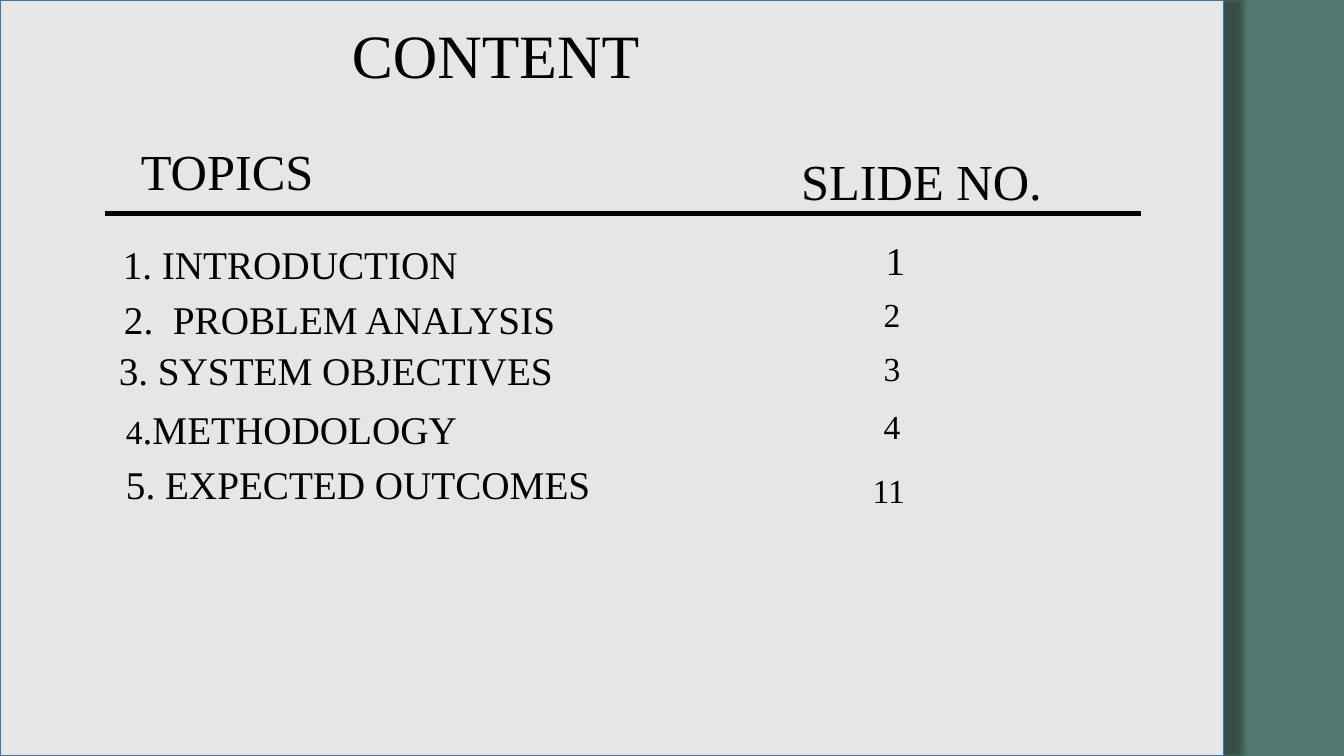
import dataclasses

import lxml.etree
import pptx
import pptx.dml.color
import pptx.enum.shapes
import pptx.enum.text
import pptx.oxml.ns
import pptx.util

Cm = pptx.util.Cm
Pt = pptx.util.Pt
qn = pptx.oxml.ns.qn


@dataclasses.dataclass(frozen=True)
class Theme:
    background: str = "52796F"
    panel: str = "E7E6E6"
    panel_line: str = "43739E"
    ink: str = "000000"
    font: str = "Times New Roman"
    title: int = 44
    heading: int = 36
    topic: int = 28
    number: int = 24


def color(value):
    return pptx.dml.color.RGBColor.from_string(value)


class ContentSlide:
    def __init__(self, presentation, theme):
        self.theme = theme
        self.slide = presentation.slides.add_slide(presentation.slide_layouts[1])
        fill = self.slide.background.fill
        fill.solid()
        fill.fore_color.rgb = color(theme.background)

    def place(self, shape, left, top, width, height):
        shape.left, shape.top = Cm(left), Cm(top)
        shape.width, shape.height = Cm(width), Cm(height)
        frame = shape.text_frame
        frame.word_wrap = True
        frame.auto_size = pptx.enum.text.MSO_AUTO_SIZE.NONE
        frame.vertical_anchor = pptx.enum.text.MSO_ANCHOR.TOP
        return frame

    def add_run(self, paragraph, text, size):
        run = paragraph.add_run()
        run.text = text
        run.font.name = self.theme.font
        run.font.size = Pt(size)
        run.font.color.rgb = color(self.theme.ink)

    def panel(self, width, height):
        panel = self.slide.shapes.add_shape(
            pptx.enum.shapes.MSO_SHAPE.RECTANGLE, 0, 0, Cm(width), Cm(height))
        panel.fill.solid()
        panel.fill.fore_color.rgb = color(self.theme.panel)
        panel.line.color.rgb = color(self.theme.panel_line)
        panel.line.width = Pt(1)
        # Soft shadow cast to the right
        panel.shadow.inherit = False
        effects = panel.element.spPr.find(qn("a:effectLst"))
        shadow = lxml.etree.SubElement(
            effects, qn("a:outerShdw"), blurRad=str(Pt(4)), dist=str(Pt(13)),
            dir="0", algn="l", rotWithShape="0")
        tint = lxml.etree.SubElement(shadow, qn("a:srgbClr"), val=self.theme.ink)
        lxml.etree.SubElement(tint, qn("a:alpha"), val="35000")
        # The panel lies behind the placeholders
        self.slide.shapes.title.element.addprevious(panel.element)

    def title(self, text, *box):
        paragraph = self.place(self.slide.shapes.title, *box).paragraphs[0]
        paragraph.alignment = pptx.enum.text.PP_ALIGN.CENTER
        self.add_run(paragraph, text, self.theme.title)

    def topics(self, rows, *box):
        frame = self.place(self.slide.placeholders[1], *box)
        for index, (indent, space, runs) in enumerate(rows):
            paragraph = frame.add_paragraph() if index else frame.paragraphs[0]
            paragraph.line_spacing = 1.0
            paragraph.space_before = Pt(space)
            properties = paragraph._p.get_or_add_pPr()
            properties.set("marL", str(Cm(indent)))
            properties.set("indent", "0")
            lxml.etree.SubElement(properties, qn("a:buNone"))
            for text, size in runs:
                self.add_run(paragraph, text, size)

    def label(self, text, size, *box):
        shape = self.slide.shapes.add_textbox(0, 0, 0, 0)
        self.add_run(self.place(shape, *box).paragraphs[0], text, size)

    def rule(self, left, right, top):
        line = self.slide.shapes.add_connector(
            pptx.enum.shapes.MSO_CONNECTOR.STRAIGHT,
            Cm(left), Cm(top), Cm(right), Cm(top))
        line.line.color.rgb = color(self.theme.ink)
        line.line.width = Pt(3)
        lxml.etree.SubElement(line.element.spPr, qn("a:effectLst"))


def main():
    theme = Theme()
    presentation = pptx.Presentation()
    presentation.slide_width = Cm(33.87)
    presentation.slide_height = Cm(19.05)
    content = ContentSlide(presentation, theme)

    # Panel and title
    content.panel(30.84, 19.05)
    content.title("CONTENT", 3.68, 0.3, 17.63, 2.13)

    # Topic list: indent in cm, space before in points, runs
    content.topics([
        (0.1, 0, [("1. INTRODUCTION", theme.topic)]),
        (0.13, 6, [("2.  PROBLEM ANALYSIS", theme.topic)]),
        (0, 3, [("3. SYSTEM OBJECTIVES", theme.topic)]),
        (0.18, 8, [("4", theme.number), (".METHODOLOGY", theme.topic)]),
        (0.18, 6, [("5. EXPECTED OUTCOMES", theme.topic)]),
    ], 2.74, 5.92, 14, 6.85)

    # Column headings and rule
    content.rule(2.64, 28.75, 5.38)
    content.label("TOPICS", theme.heading, 3.3, 3.4, 5.84, 1.8)
    content.label("SLIDE NO.", theme.heading, 19.94, 3.66, 8.03, 1.8)

    # Slide numbers
    for text, size, left, top in [
        ("1", theme.topic, 22.07, 5.82),
        ("2", theme.number, 22.02, 7.29),
        ("3", theme.number, 22.02, 8.64),
        ("4", theme.number, 22.02, 10.11),
        ("11", theme.number, 21.74, 11.71),
    ]:
        content.label(text, size, left, top, 3.89, 1.4)

    presentation.save("out.pptx")


if __name__ == "__main__":
    main()
